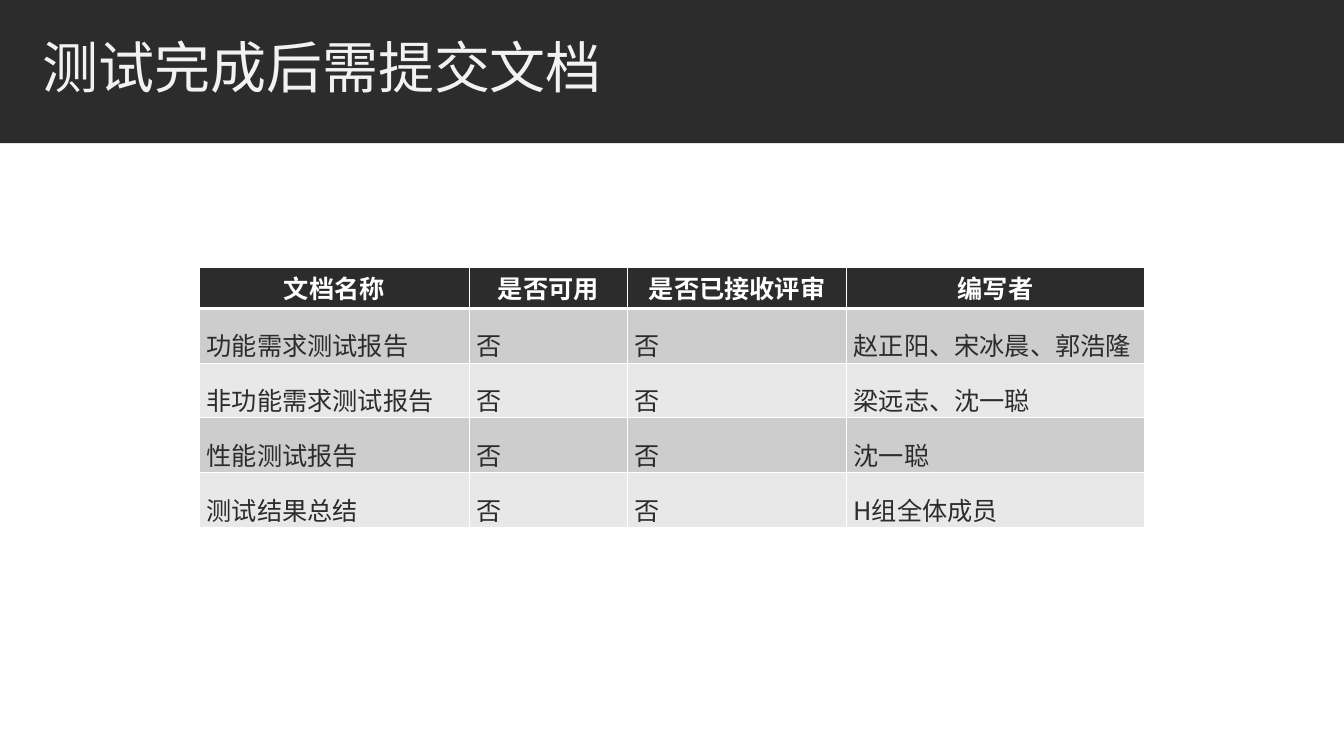
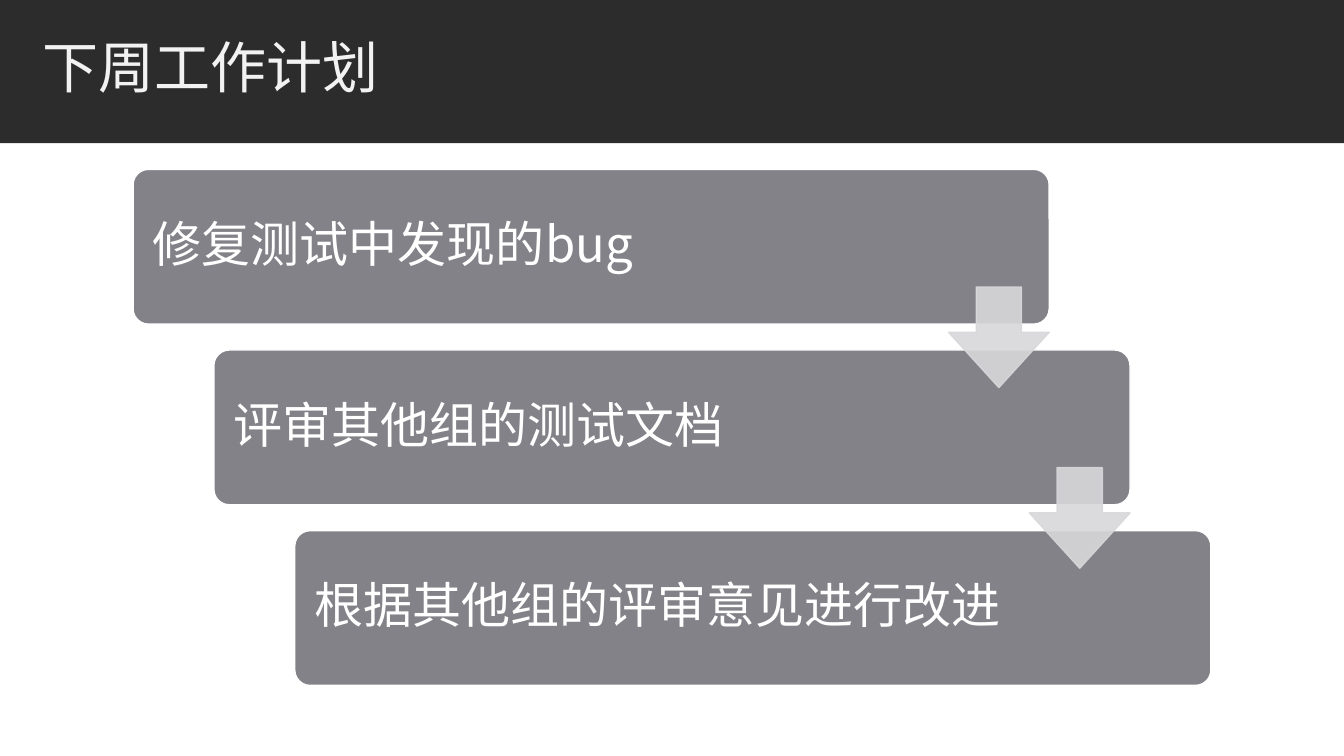
from lxml import etree
from pptx import Presentation
from pptx.dml.color import RGBColor
from pptx.enum.shapes import MSO_SHAPE as Shape
from pptx.enum.text import MSO_ANCHOR as Anchor, MSO_AUTO_SIZE as AutoSize, PP_ALIGN as Align
from pptx.oxml.ns import qn
from pptx.util import Inches, Pt

WIDTH, HEIGHT = 13.33, 7.5
FONT = "Noto Sans CJK SC"
COLORS = {
    "dark": "2C2C2C",
    "title": "F2F2F2",
    "white": "FFFFFF",
    "odd_row": "CDCDCD",
    "even_row": "E8E8E8",
    "step": "828288",
    "arrow": "D8D8DA",
}
TITLE_BOX = (0.32, 0.26, 10.7, 0.9)
BAND_BOX = (0, 0, WIDTH, 1.42)
TABLE_BOX = (1.98, 2.65, 9.37, 2.05)
CHAIN_BOX = (1.32, 1.68, 10.69, 5.12)

DOCUMENTS = [
    ("文档名称", "是否可用", "是否已接收评审", "编写者"),
    ("功能需求测试报告", "否", "否", "赵正阳、宋冰晨、郭浩隆"),
    ("非功能需求测试报告", "否", "否", "梁远志、沈一聪"),
    ("性能测试报告", "否", "否", "沈一聪"),
    ("测试结果总结", "否", "否", "H组全体成员"),
]
COLUMN_WIDTHS = (2.67, 1.57, 2.17, 2.95)
PLANS = ["修复测试中发现的bug", "评审其他组的测试文档", "根据其他组的评审意见进行改进"]


def rgb(name):
    return RGBColor.from_string(COLORS[name])


def inches(box):
    return [Inches(length) for length in box]


def write(frame, text, size=18, color="dark", bold=False, align=Align.LEFT, spacing=1.0):
    paragraph = frame.paragraphs[0]
    paragraph.alignment = align
    paragraph.line_spacing = spacing
    run = paragraph.add_run()
    run.text = text
    font = run.font
    font.size, font.bold, font.name = Pt(size), bold, FONT
    font.color.rgb = rgb(color)
    etree.SubElement(run._r.get_or_add_rPr(), qn("a:ea"), typeface=FONT)


def add_block(slide, kind, box, fill, line=None, adjustments=(), alpha=None):
    block = slide.shapes.add_shape(kind, *inches(box))
    block.shadow.inherit = False
    block.fill.solid()
    block.fill.fore_color.rgb = rgb(fill)
    if line:
        block.line.color.rgb = rgb(line)
        block.line.width = Pt(1)
    else:
        block.line.fill.background()
    for index, value in enumerate(adjustments):
        block.adjustments[index] = value
    if alpha:
        for color in block._element.spPr.iter(qn("a:srgbClr")):
            etree.SubElement(color, qn("a:alpha"), val=str(alpha * 1000))
    return block


def add_titled_slide(deck, layout, text):
    slide = deck.slides.add_slide(layout)
    title = slide.shapes.title
    title.left, title.top, title.width, title.height = inches(TITLE_BOX)
    frame = title.text_frame
    frame.auto_size = AutoSize.NONE
    frame.vertical_anchor = Anchor.MIDDLE
    write(frame, text, size=40, color="title", spacing=0.85)
    return slide


def move_band_to_layout(slide, layout):
    band = add_block(slide, Shape.RECTANGLE, BAND_BOX, "dark")
    layout.shapes._spTree.insert(2, band._element)


def border_cell(cell, bottom):
    properties = cell._tc.get_or_add_tcPr()
    for side, points in (("L", 1), ("R", 1), ("T", 1), ("B", bottom)):
        line = etree.SubElement(properties, qn(f"a:ln{side}"), w=str(Pt(points)))
        fill = etree.SubElement(line, qn("a:solidFill"))
        etree.SubElement(fill, qn("a:srgbClr"), val=COLORS["white"])


def add_document_table(slide, box):
    table = slide.shapes.add_table(len(DOCUMENTS), len(COLUMN_WIDTHS), *inches(box)).table
    table.horz_banding = False
    for column, share in zip(table.columns, COLUMN_WIDTHS):
        column.width = Inches(box[2] * share / sum(COLUMN_WIDTHS))
    for row, texts in enumerate(DOCUMENTS):
        header = row == 0
        fill = "dark" if header else "odd_row" if row % 2 else "even_row"
        for cell, text in zip(table.rows[row].cells, texts):
            border_cell(cell, bottom=3 if header else 1)
            cell.fill.solid()
            cell.fill.fore_color.rgb = rgb(fill)
            cell.vertical_anchor = Anchor.MIDDLE
            cell.margin_left = cell.margin_right = Inches(0.07)
            cell.margin_top = cell.margin_bottom = 0
            if header:
                write(cell.text_frame, text, color="white", bold=True, align=Align.CENTER)
            else:
                write(cell.text_frame, text, align=Align.JUSTIFY, spacing=1.5)


def add_plan_chain(slide, box):
    left, top, width, height = box
    step_width, step_height = 0.85 * width, 0.3 * height
    shift = (width - step_width) / (len(PLANS) - 1)
    drop = (height - step_height) / (len(PLANS) - 1)
    arrow_size = 0.65 * step_height
    for index, plan in enumerate(PLANS):
        step_box = (left + index * shift, top + index * drop, step_width, step_height)
        step = add_block(slide, Shape.ROUNDED_RECTANGLE, step_box, "step", line="white",
                         adjustments=[0.1])
        frame = step.text_frame
        frame.word_wrap = True
        frame.vertical_anchor = Anchor.MIDDLE
        frame.margin_left = frame.margin_right = Inches(0.15)
        frame.margin_top = frame.margin_bottom = Inches(0.15)
        write(frame, plan, size=35, color="white", spacing=0.9)
    for index in range(len(PLANS) - 1):
        arrow_box = (left + index * shift + step_width - arrow_size,
                     top + index * drop + 0.76 * step_height, arrow_size, arrow_size)
        add_block(slide, Shape.DOWN_ARROW, arrow_box, "arrow", line="arrow",
                  adjustments=[0.45, 0.55], alpha=90)


def main():
    deck = Presentation()
    deck.slide_width, deck.slide_height = Inches(WIDTH), Inches(HEIGHT)
    layout = deck.slide_layouts.get_by_name("Title Only")
    documents = add_titled_slide(deck, layout, "测试完成后需提交文档")
    move_band_to_layout(documents, layout)
    add_document_table(documents, TABLE_BOX)
    plans = add_titled_slide(deck, layout, "下周工作计划")
    add_plan_chain(plans, CHAIN_BOX)
    deck.save("out.pptx")


if __name__ == "__main__":
    main()
